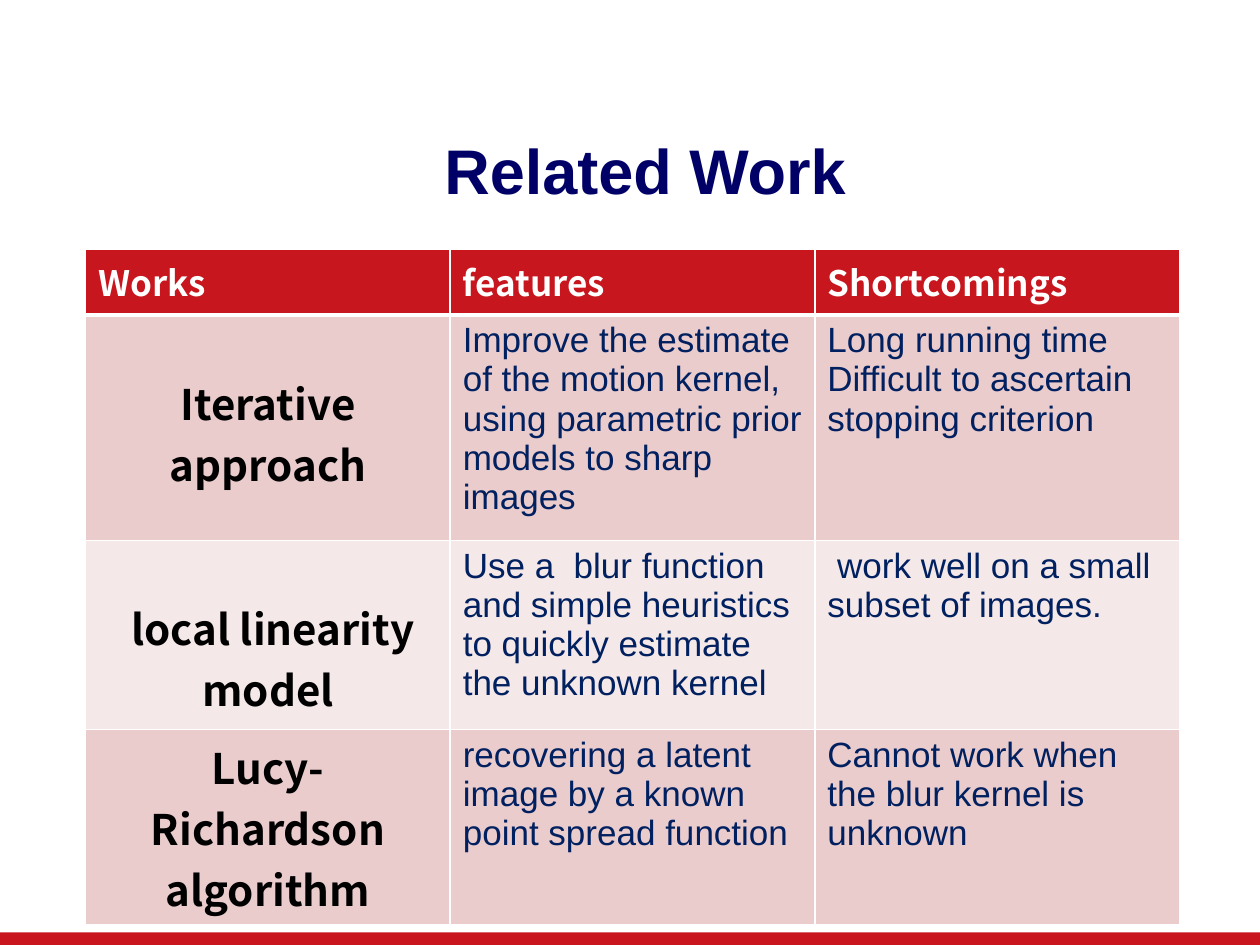
import pptx
import pptx.dml.color
import pptx.enum.shapes
import pptx.enum.text
import pptx.oxml
import pptx.oxml.ns
import pptx.util

Inches, Pt = pptx.util.Inches, pptx.util.Pt
ALIGN = pptx.enum.text.PP_ALIGN
ANCHOR = pptx.enum.text.MSO_ANCHOR

TITLE = "Related Work"
HEADINGS = ["Works", "features", "Shortcomings"]
# Each work: lines of its name, features and shortcomings
WORKS = [
    (["Iterative", "approach"],
     ["Improve the estimate of the motion kernel,",
      "using parametric prior models to sharp images"],
     ["Long running time", "Difficult to ascertain stopping criterion"]),
    ([" local linearity", "model"],
     ["Use a  blur function and simple heuristics to quickly estimate",
      "the unknown kernel"],
     [" work well on a small subset of images."]),
    (["Lucy-Richardson algorithm"],
     ["recovering a latent image by a known point spread function"],
     ["Cannot work when the blur kernel is unknown"]),
]

SLIDE_WIDTH, SLIDE_HEIGHT = 10, 7.5
BAR_HEIGHT = 0.1
TABLE_LEFT, TABLE_TOP, TABLE_WIDTH = 0.68, 1.98, 8.68
ROW_HEIGHTS = [0.52, 1.79, 1.5, 1.27]
NAME_TOP_MARGINS = [0.45, 0.45, 0.05]
BAND_FILLS = ["EBCCCD", "F5E8E8"]

HEADING_STYLE = dict(name="Noto Sans CJK SC", size=20, color="FFFFFF", bold=True)
NAME_STYLE = dict(name="Noto Sans CJK SC", size=24, color="000000", bold=True)
DETAIL_STYLE = dict(name="Arial", size=20, color="002060", bold=False)
TITLE_STYLE = dict(name="Arial", size=36, color="000066", bold=True)


def rgb(color):
    return pptx.dml.color.RGBColor.from_string(color)


def write_lines(text_frame, lines, style, alignment=ALIGN.LEFT):
    for index, line in enumerate(lines):
        paragraph = text_frame.paragraphs[0] if index == 0 else text_frame.add_paragraph()
        paragraph.alignment = alignment
        run = paragraph.add_run()
        run.text = line
        run.font.name = style["name"]
        run.font.size = Pt(style["size"])
        run.font.bold = style["bold"]
        run.font.color.rgb = rgb(style["color"])


def set_borders(cell, top, bottom):
    """Draw white borders; top and bottom are widths in points."""
    properties = cell._tc.get_or_add_tcPr()
    for side, width in (("L", 1), ("R", 1), ("T", top), ("B", bottom)):
        properties.append(pptx.oxml.parse_xml(
            f'<a:ln{side} {pptx.oxml.ns.nsdecls("a")} w="{Pt(width)}">'
            f'<a:solidFill><a:srgbClr val="FFFFFF"/></a:solidFill></a:ln{side}>'))


def fill_cell(cell, color):
    cell.fill.solid()
    cell.fill.fore_color.rgb = rgb(color)


def add_footer_bar(slide):
    bar = slide.shapes.add_shape(
        pptx.enum.shapes.MSO_SHAPE.RECTANGLE, 0, Inches(SLIDE_HEIGHT - BAR_HEIGHT),
        Inches(SLIDE_WIDTH), Inches(BAR_HEIGHT))
    bar.shadow.inherit = False
    bar.fill.solid()
    bar.fill.fore_color.rgb = rgb("C9151E")
    bar.line.fill.background()


def add_title(slide):
    title = slide.shapes.title
    title.left, title.top = Inches(0.54), Inches(1.07)
    title.width, title.height = Inches(9.16), Inches(0.63)
    title.text_frame.vertical_anchor = ANCHOR.MIDDLE
    write_lines(title.text_frame, [TITLE], TITLE_STYLE, ALIGN.CENTER)
    title.text_frame.paragraphs[0].line_spacing = 0.9


def add_works_table(slide):
    table = slide.shapes.add_table(
        len(ROW_HEIGHTS), len(HEADINGS), Inches(TABLE_LEFT), Inches(TABLE_TOP),
        Inches(TABLE_WIDTH), Inches(sum(ROW_HEIGHTS))).table
    for row, height in zip(table.rows, ROW_HEIGHTS):
        row.height = Inches(height)
    for column, heading in enumerate(HEADINGS):
        cell = table.cell(0, column)
        set_borders(cell, top=1, bottom=3)
        fill_cell(cell, "C8161E")
        write_lines(cell.text_frame, [heading], HEADING_STYLE)
    for row, work in enumerate(WORKS, start=1):
        for column, lines in enumerate(work):
            cell = table.cell(row, column)
            set_borders(cell, top=3 if row == 1 else 1, bottom=1)
            fill_cell(cell, BAND_FILLS[(row - 1) % 2])
            if column == 0:
                cell.margin_top = Inches(NAME_TOP_MARGINS[row - 1])
                write_lines(cell.text_frame, lines, NAME_STYLE, ALIGN.CENTER)
            else:
                write_lines(cell.text_frame, lines, DETAIL_STYLE)


def main():
    presentation = pptx.Presentation()
    presentation.slide_width = Inches(SLIDE_WIDTH)
    presentation.slide_height = Inches(SLIDE_HEIGHT)
    slide = presentation.slides.add_slide(presentation.slide_layouts[5])
    add_footer_bar(slide)
    add_title(slide)
    add_works_table(slide)
    presentation.save("out.pptx")


if __name__ == "__main__":
    main()
